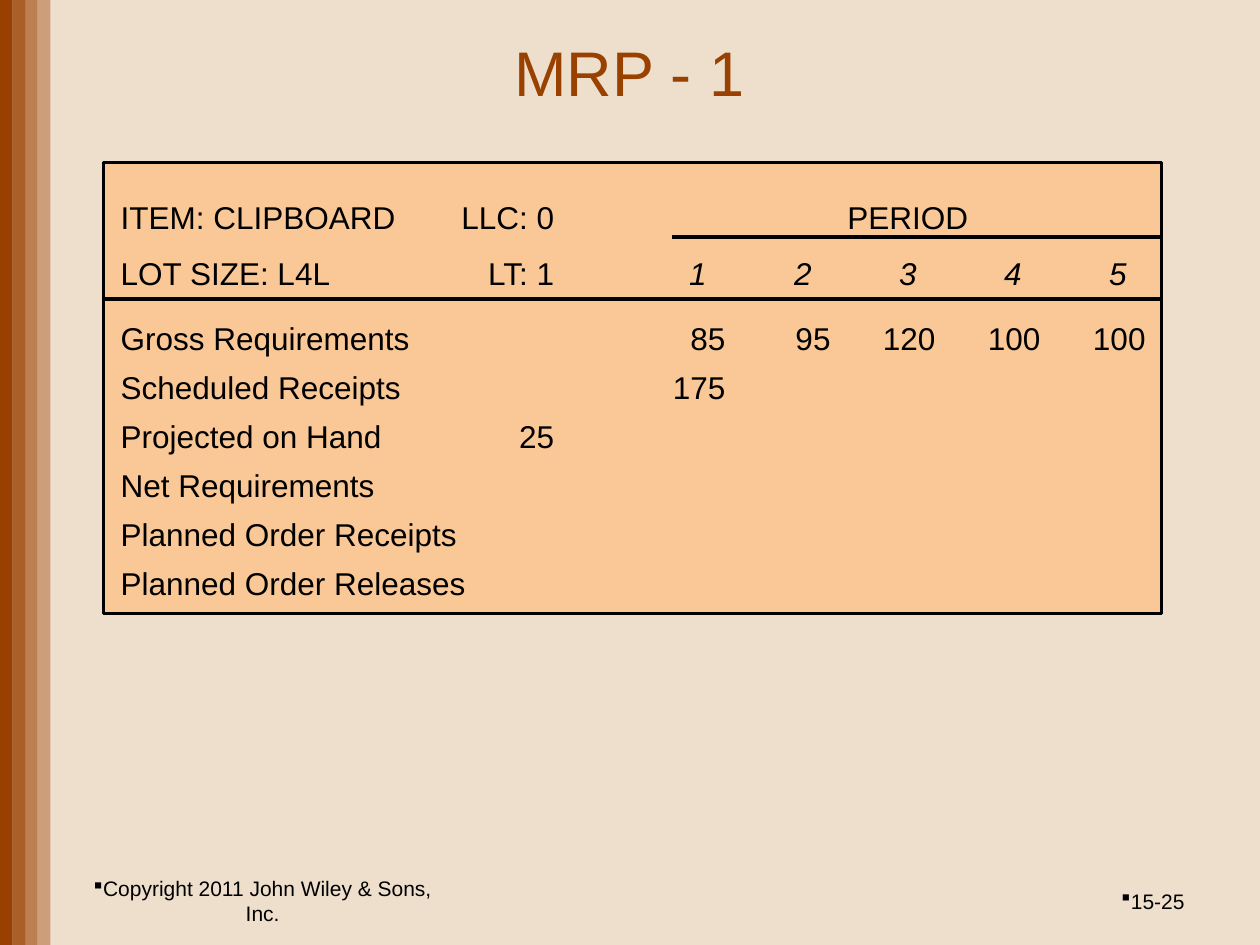
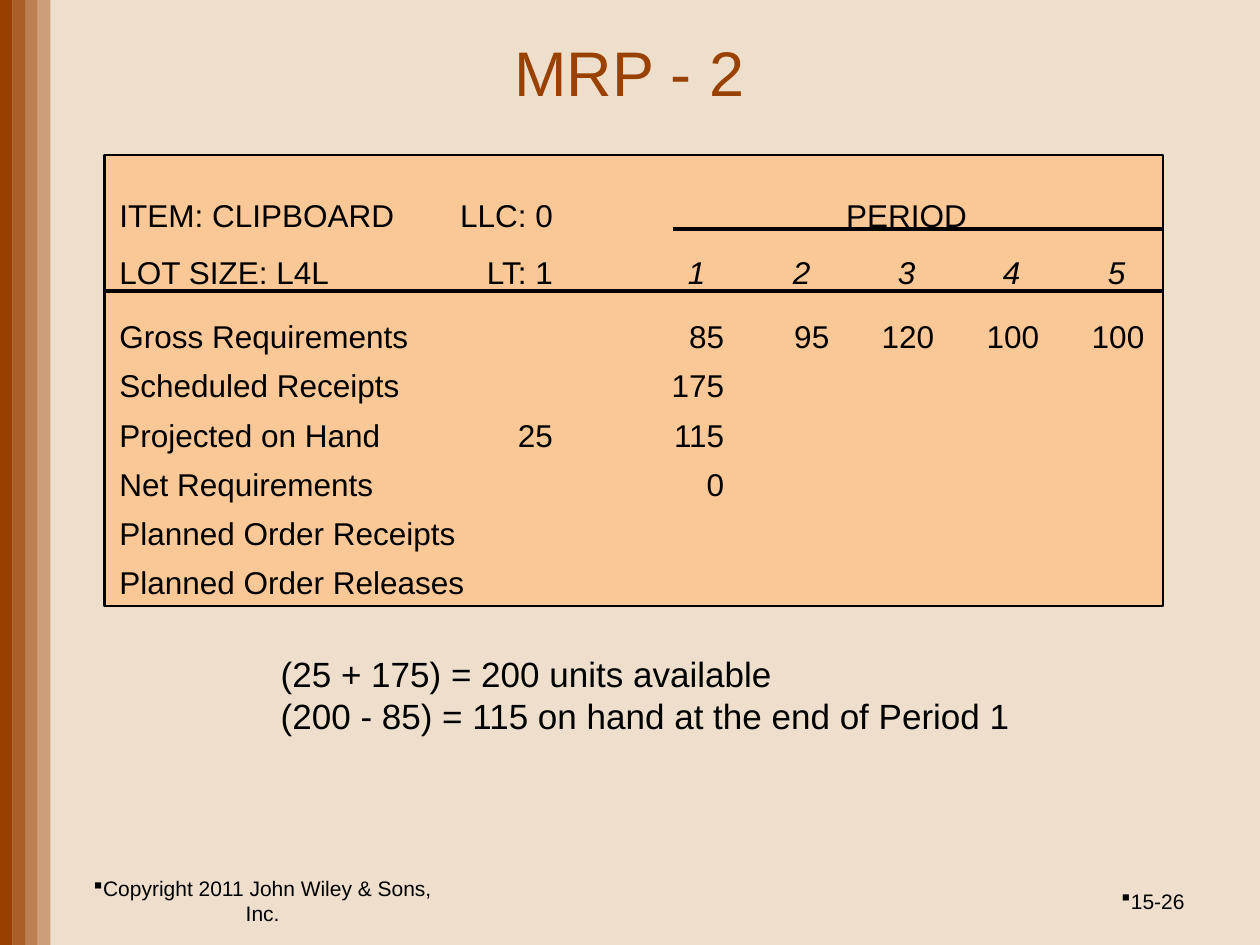
"""Build two MRP worksheet slides for the clipboard item."""
from dataclasses import dataclass

from lxml import etree
from pptx import Presentation
from pptx.dml.color import RGBColor
from pptx.enum import shapes, text
from pptx.oxml import ns
from pptx.util import Inches, Pt

FONT = "Arial"
BLACK, RUST, RUST_TITLE = "000000", "994000", "994100"
CREAM, PEACH = "EEDFCC", "FAC896"
BAND_ALPHAS = (100, 80, 60, 40)
COPYRIGHT = "Copyright 2011 John Wiley & Sons, Inc."
LEFT, CENTER, RIGHT = text.PP_ALIGN.LEFT, text.PP_ALIGN.CENTER, text.PP_ALIGN.RIGHT
PERIODS = range(5)
PERIOD_STEP = 5 / 6
HEADER_TABS = [(3.44, "r")] + [(4.58 + i * PERIOD_STEP, "ctr") for i in PERIODS]
BODY_TABS = [(3.44, "r")] + [(4.8 + i * PERIOD_STEP, "r") for i in PERIODS]
HEADER = ["ITEM: CLIPBOARD\tLLC: 0\t\t\tPERIOD", "LOT SIZE: L4L\tLT: 1\t"]
PERIOD_HEADS = "\t".join(str(i + 1) for i in PERIODS)


@dataclass
class Box:
    """Position and size in inches."""
    left: float
    top: float
    width: float
    height: float

    def lengths(self) -> list:
        """Return the four values as lengths."""
        return [Inches(v) for v in (self.left, self.top, self.width, self.height)]


@dataclass
class Worksheet:
    """One MRP slide: its title, panel and text corners, rows and notes."""
    title: str
    number: str
    panel: tuple[float, float]
    words: tuple[float, float]
    on_hand: str = ""
    net: str = ""
    notes: tuple[str, ...] = ()

    def rows(self) -> list[str]:
        """Return the tabbed record lines."""
        return ["Gross Requirements\t\t85\t95\t120\t100\t100",
                "Scheduled Receipts\t\t175",
                "Projected on Hand\t25" + self.on_hand,
                "Net Requirements" + self.net,
                "Planned Order Receipts",
                "Planned Order Releases"]


SHEETS = [
    Worksheet("MRP - 1", "15-25", (0.82, 1.29), (0.86, 1.37)),
    Worksheet("MRP - 2", "15-26", (0.83, 1.23), (0.85, 1.36), "\t115", "\t\t0",
              ("(25 + 175) = 200 units available",
               "(200 - 85) = 115 on hand at the end of Period 1")),
]


def rgb(value: str) -> RGBColor:
    """Turn a hex string into a colour."""
    return RGBColor.from_string(value)


def style(p, size: float, color: str = BLACK) -> None:
    """Set the font of a paragraph."""
    p.font.name, p.font.size = FONT, Pt(size)
    p.font.color.rgb = rgb(color)


def add_tabs(p, tabs: list) -> None:
    """Give a paragraph its tab stops."""
    tab_list = etree.SubElement(p._p.get_or_add_pPr(), ns.qn("a:tabLst"))
    for pos, align in tabs:
        etree.SubElement(tab_list, ns.qn("a:tab"), pos=str(Inches(pos)), algn=align)


def add_bullet(p) -> None:
    """Give a paragraph a small square bullet without indent."""
    props = p._p.get_or_add_pPr()
    props.set("marL", "0")
    props.set("indent", "0")
    etree.SubElement(props, ns.qn("a:buFont"), typeface="Wingdings")
    etree.SubElement(props, ns.qn("a:buChar"), char="§")


def add_text(s, box: Box, lines, size: float, align=LEFT, spacing: float = 1.0,
             tabs: list = (), bullet: bool = False, anchor=text.MSO_ANCHOR.TOP):
    """Add a wrapped text box, one paragraph a line."""
    tf = s.shapes.add_textbox(*box.lengths()).text_frame
    tf.word_wrap, tf.vertical_anchor = True, anchor
    for i, line in enumerate(lines):
        p = tf.add_paragraph() if i else tf.paragraphs[0]
        p.add_run().text = line
        p.alignment, p.line_spacing = align, spacing
        if bullet:
            add_bullet(p)
        if tabs:
            add_tabs(p, tabs)
        style(p, size)
    return tf


def add_rect(s, box: Box, fill: str, alpha: int = 100, line: str = ""):
    """Add a flat rectangle, optionally see-through or outlined."""
    sp = s.shapes.add_shape(shapes.MSO_SHAPE.RECTANGLE, *box.lengths())
    sp.shadow.inherit = False
    sp.fill.solid()
    sp.fill.fore_color.rgb = rgb(fill)
    if alpha < 100:
        color = sp._element.spPr.find(".//" + ns.qn("a:srgbClr"))
        etree.SubElement(color, ns.qn("a:alpha"), val=str(alpha * 1000))
    if line:
        sp.line.color.rgb, sp.line.width = rgb(line), Pt(1.5)
    else:
        sp.line.fill.background()


def add_rule(s, left: float, right: float, y: float) -> None:
    """Add a horizontal black rule."""
    cn = s.shapes.add_connector(shapes.MSO_CONNECTOR.STRAIGHT, Inches(left), Inches(y),
                                Inches(right), Inches(y))
    cn.line.color.rgb, cn.line.width = rgb(BLACK), Pt(2.25)
    etree.SubElement(cn._element.spPr, ns.qn("a:effectLst"))


def add_frame(s, sheet: Worksheet) -> None:
    """Draw the side bands, footers and title."""
    for i, alpha in enumerate(BAND_ALPHAS):
        add_rect(s, Box(i * 0.1, 0, 0.1, 7.5), RUST, alpha)
    middle = text.MSO_ANCHOR.MIDDLE
    add_text(s, Box(0.5, 6.95, 3.17, 0.4), [COPYRIGHT], 12, CENTER, bullet=True, anchor=middle)
    add_text(s, Box(7.17, 6.95, 2.33, 0.4), [sheet.number], 12, RIGHT, bullet=True,
             anchor=middle)
    title = s.shapes.title
    title.left, title.top, title.width, title.height = Box(1.62, 0.06, 6.75, 1.02).lengths()
    tf = title.text_frame
    tf.text = sheet.title
    tf.auto_size, tf.vertical_anchor = text.MSO_AUTO_SIZE.NONE, middle
    tf.paragraphs[0].alignment = CENTER
    style(tf.paragraphs[0], 36, RUST_TITLE)


def add_worksheet(s, sheet: Worksheet) -> None:
    """Draw the MRP record panel with its rules and text."""
    left, top = sheet.panel
    add_rect(s, Box(left, top, 8.4, 3.58), PEACH, line=BLACK)
    add_rule(s, left + 0.01, left + 8.41, top + 1.08)
    add_rule(s, left + 4.51, left + 8.41, top + 0.59)
    x, y = sheet.words
    tf = add_text(s, Box(x, y, 8.4, 0.95), HEADER, 18, spacing=1.5, tabs=HEADER_TABS)
    r = tf.paragraphs[1].add_run()
    r.text, r.font.italic = PERIOD_HEADS, True
    add_text(s, Box(x, y + 1.02, 8.46, 2.44), sheet.rows(), 18, spacing=1.3, tabs=BODY_TABS)
    if sheet.notes:
        add_text(s, Box(2.13, 5.13, 6.24, 0.77), sheet.notes, 20)


def main() -> None:
    """Build and save the deck."""
    prs = Presentation()
    prs.slide_width, prs.slide_height = Inches(10), Inches(7.5)
    fill = prs.slide_master.background.fill
    fill.solid()
    fill.fore_color.rgb = rgb(CREAM)
    for sheet in SHEETS:
        s = prs.slides.add_slide(prs.slide_layouts[5])
        add_frame(s, sheet)
        add_worksheet(s, sheet)
    prs.save("out.pptx")


if __name__ == "__main__":
    main()
